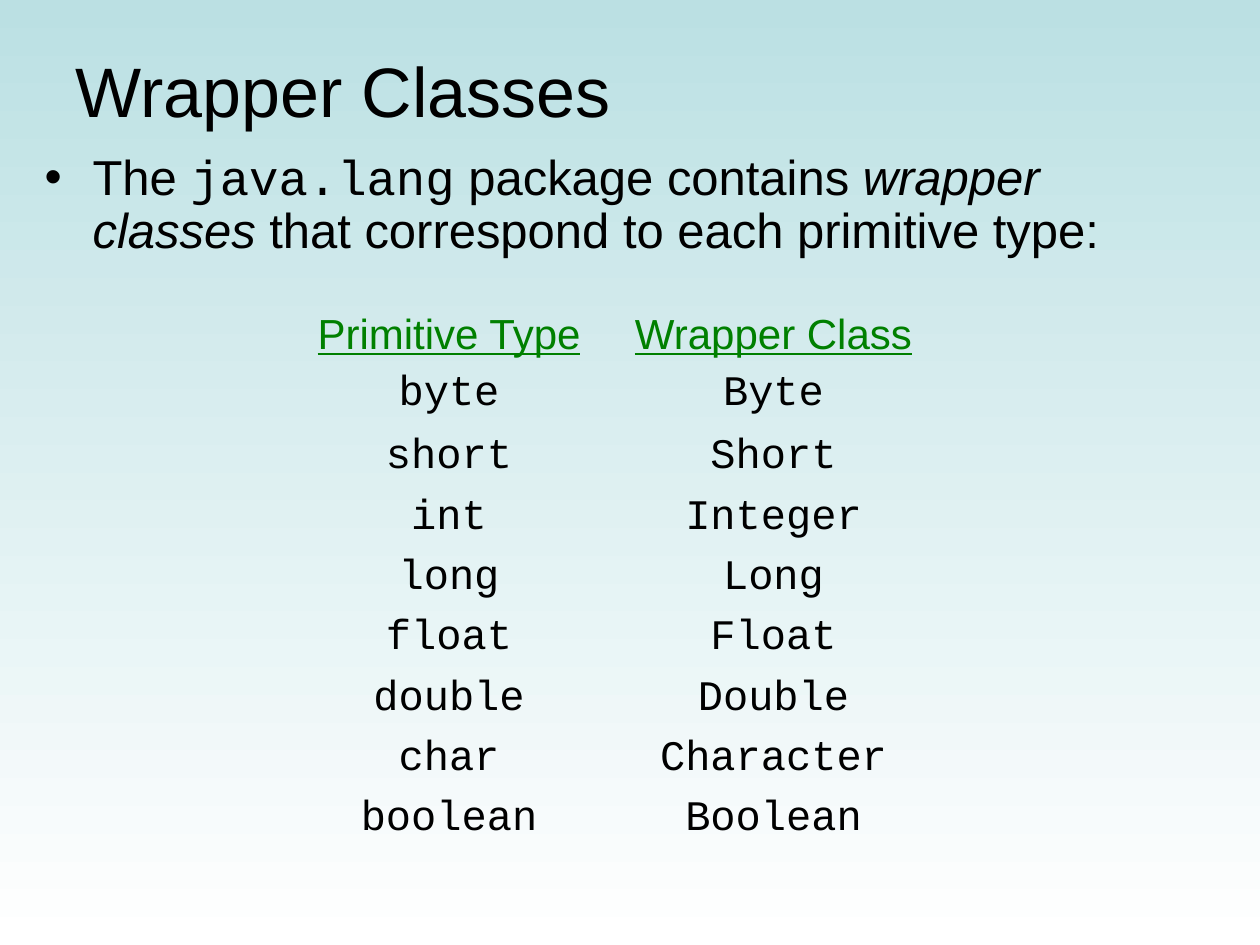
from dataclasses import dataclass

from lxml.etree import SubElement
from pptx import Presentation
from pptx.dml.color import RGBColor as RGB
from pptx.enum.text import MSO_ANCHOR as ANCHOR, MSO_AUTO_SIZE as FIT, PP_ALIGN as ALIGN
from pptx.oxml.ns import qn
from pptx.util import Pt

PX = 914400 / 126


def px(n):
    return round(n * PX)


@dataclass(frozen=True)
class Theme:
    sans: str = "Arial"
    mono: str = "Courier New"
    ink: RGB = RGB(0, 0, 0)
    heading: RGB = RGB(0, 128, 0)
    sky: RGB = RGB(0xBB, 0xE0, 0xE3)
    white: RGB = RGB(255, 255, 255)
    title_size: int = 40
    body_size: int = 28
    cell_size: int = 24


class Deck:
    """Builds slides in one theme, with lengths in px."""

    def __init__(self, theme):
        self.theme = theme
        self.prs = Presentation()
        self.prs.slide_width, self.prs.slide_height = px(1260), px(945)

    def slide(self):
        self.s = self.prs.slides.add_slide(self.prs.slide_layouts[1])
        fill = self.s.background.fill
        fill.gradient()
        fill.gradient_angle = 270
        for stop, position, color in zip(fill.gradient_stops, (0, 1), (self.theme.sky, self.theme.white)):
            stop.position, stop.color.rgb = position, color

    def style(self, r, size, font=None, color=None, italic=False, underline=False):
        f = r.font
        f.size, f.name = Pt(size), font or self.theme.sans
        f.color.rgb = color or self.theme.ink
        f.bold, f.italic, f.underline = False, italic, underline

    def place(self, sp, box, anchor):
        sp.left, sp.top, sp.width, sp.height = map(px, box)
        tf = sp.text_frame
        tf.auto_size, tf.word_wrap, tf.vertical_anchor = FIT.NONE, True, anchor
        return tf

    def title(self, text, box):
        tf = self.place(self.s.shapes.title, box, ANCHOR.MIDDLE)
        tf.text = text
        p = tf.paragraphs[0]
        p.alignment = ALIGN.LEFT
        self.style(p.runs[0], self.theme.title_size)

    def bullet(self, parts, box, indent):
        p = self.place(self.s.placeholders[1], box, ANCHOR.TOP).paragraphs[0]
        p.line_spacing, p.space_before = 0.9, Pt(0)
        pPr = p._p.get_or_add_pPr()
        pPr.set("marL", str(px(indent)))
        pPr.set("indent", str(-px(indent)))
        SubElement(pPr, qn("a:buFont"), typeface=self.theme.sans)
        SubElement(pPr, qn("a:buChar"), char="•")
        for text, look in parts:
            r = p.add_run()
            r.text = text
            self.style(r, self.theme.body_size, **look)

    def table(self, rows, left, top, widths, heights):
        frame = self.s.shapes.add_table(len(rows), len(widths), px(left), px(top),
                                        px(sum(widths)), px(sum(heights)))
        table = frame.table
        table.first_row = table.horz_banding = False
        for column, width in zip(table.columns, widths):
            column.width = px(width)
        for i, (row, height) in enumerate(zip(rows, heights)):
            table.rows[i].height = px(height)
            for j, text in enumerate(row):
                self.cell(table.cell(i, j), text, header=i == 0)

    def cell(self, cell, text, header):
        t = self.theme
        cell.text = text
        cell.fill.background()
        tcPr = cell._tc.get_or_add_tcPr()
        for i, side in enumerate("LRTB"):
            line = SubElement(tcPr, qn(f"a:ln{side}"))
            SubElement(line, qn("a:noFill"))
            tcPr.insert(i, line)
        p = cell.text_frame.paragraphs[0]
        p.alignment = ALIGN.CENTER
        font, color = (t.sans, t.heading) if header else (t.mono, t.ink)
        self.style(p.runs[0], t.cell_size, font, color, underline=header)


def main():
    theme = Theme()
    deck = Deck(theme)
    deck.slide()
    deck.title("Wrapper Classes", (63, 10, 1144, 158))
    deck.bullet([
        ("The ", {}),
        ("java.lang", {"font": theme.mono}),
        (" package contains ", {}),
        ("wrapper classes", {"italic": True}),
        (" that correspond to each primitive type:", {}),
    ], (32, 147, 1187, 146), indent=48)
    types = [
        ("Primitive Type", "Wrapper Class"),
        ("byte", "Byte"),
        ("short", "Short"),
        ("int", "Integer"),
        ("long", "Long"),
        ("float", "Float"),
        ("double", "Double"),
        ("char", "Character"),
        ("boolean", "Boolean"),
    ]
    deck.table(types, 284, 305, widths=(330, 319), heights=[42, 63] + [42] * 7)
    deck.prs.save("out.pptx")


if __name__ == "__main__":
    main()
